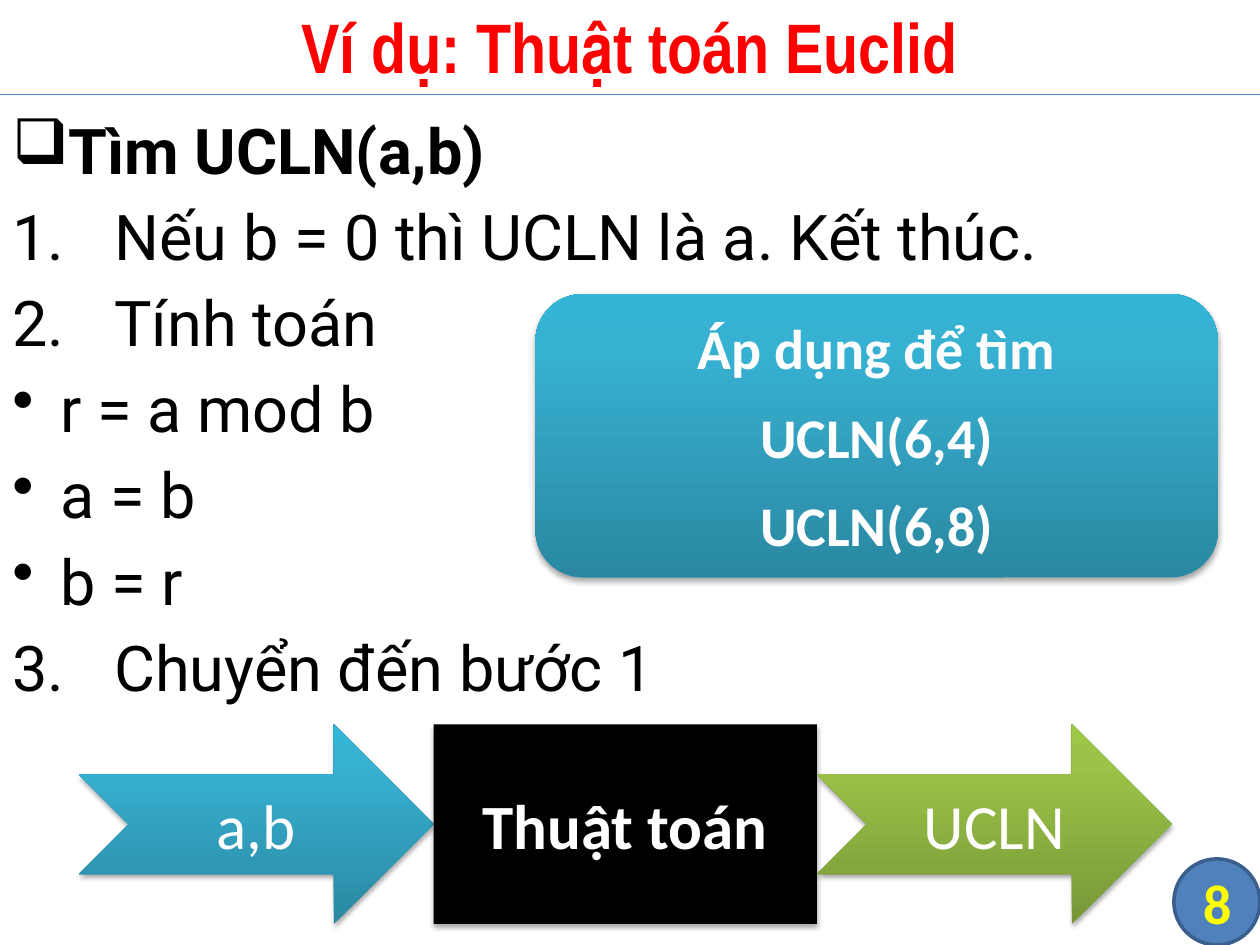
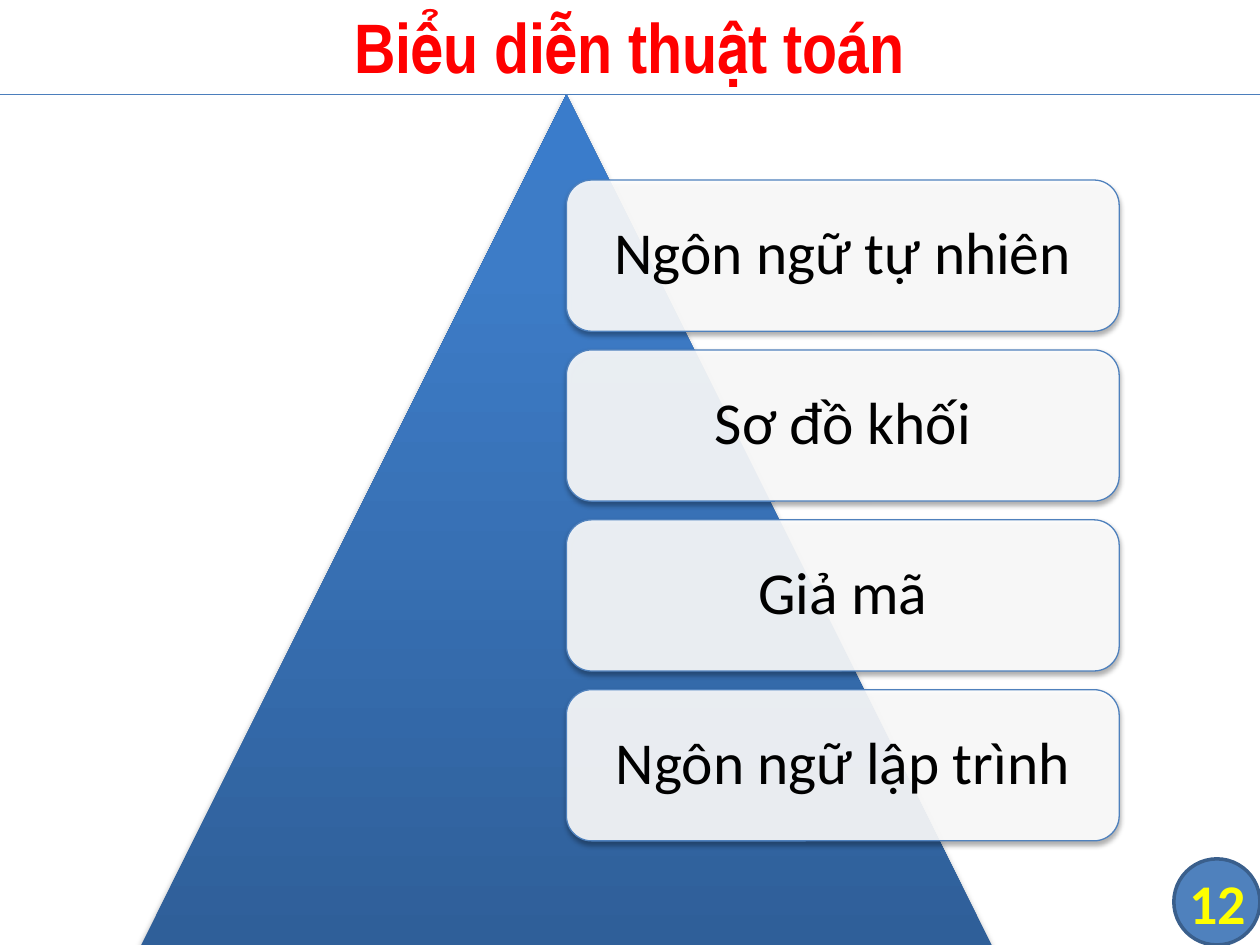
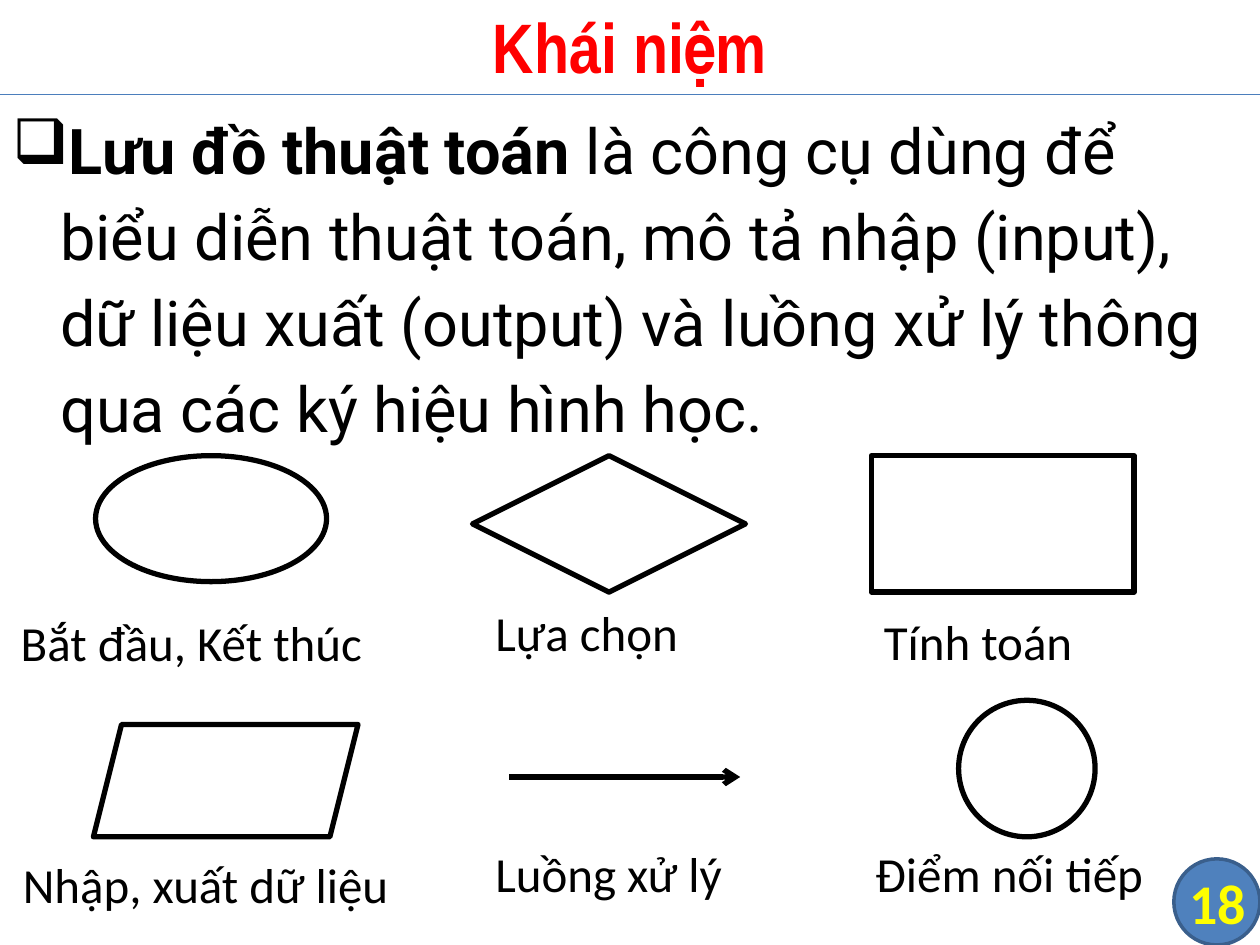
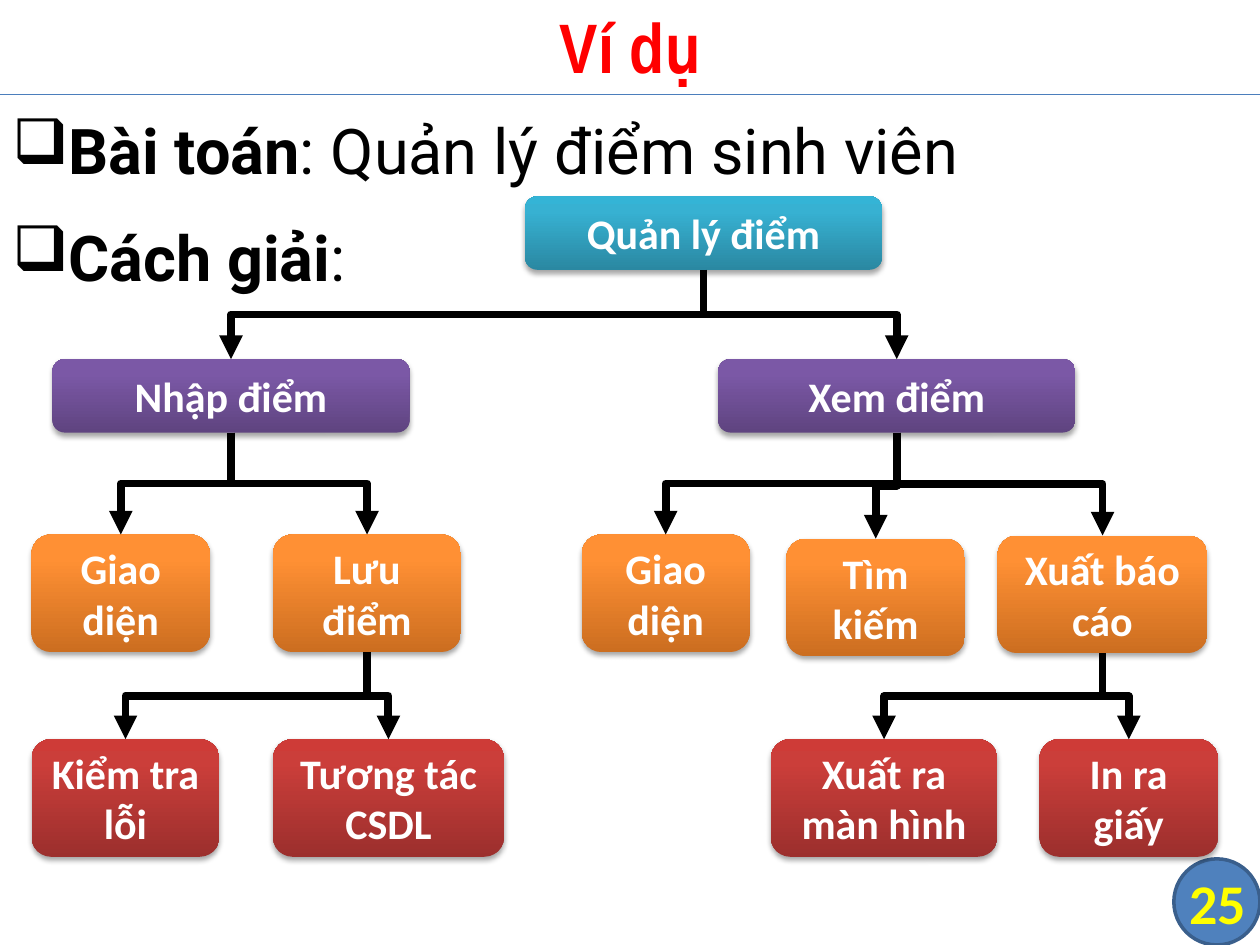
from lxml import etree
from pptx import Presentation
from pptx.dml.color import RGBColor
from pptx.enum.shapes import MSO_CONNECTOR, MSO_SHAPE
from pptx.enum.text import MSO_ANCHOR, MSO_AUTO_SIZE, PP_ALIGN
from pptx.oxml import parse_xml
from pptx.oxml.ns import qn
from pptx.util import Inches, Pt

ROUND, RECT = MSO_SHAPE.ROUNDED_RECTANGLE, MSO_SHAPE.RECTANGLE
NOTCHED, TRIANGLE = MSO_SHAPE.NOTCHED_RIGHT_ARROW, MSO_SHAPE.ISOSCELES_TRIANGLE
OVAL, DIAMOND = MSO_SHAPE.OVAL, MSO_SHAPE.DIAMOND
CIRCLE, PARALLELOGRAM = MSO_SHAPE.FLOWCHART_CONNECTOR, MSO_SHAPE.PARALLELOGRAM
STRAIGHT, ELBOW = MSO_CONNECTOR.STRAIGHT, MSO_CONNECTOR.ELBOW
MIDDLE, TOP = MSO_ANCHOR.MIDDLE, MSO_ANCHOR.TOP
CENTER, LEFT = PP_ALIGN.CENTER, PP_ALIGN.LEFT

COLS, ROWS = 120, 90  # grid cells of 1/12 inch
A_NS = 'xmlns:a="http://schemas.openxmlformats.org/drawingml/2006/main"'

BLACK, WHITE, BLUE = "000000", "FFFFFF", "4F81BD"
# Gradients run from the bottom edge to the top edge
TEAL = ("2A88A2", "37B1D2", "34B4D6")
GREEN = ("779737", "9BC348", "9DC746")
NAVY = ("2F5F99", "3D7CC7", "3A7CCB")
PURPLE = ("5F4480", "7B58A6", "7C57A8")
ORANGE = ("CC6E20", "FF9034", "FF9136")
RED = ("9C2F2D", "CB3E3A", "CE3B37")
STOPS = (0, 80, 100)


def style(size, color, bold=False, name="Calibri"):
    return {"size": Pt(size), "color": color, "bold": bold, "name": name}


TITLE = style(40, "FF0000", True, "Arial Narrow")
BODY = style(36, BLACK, name="Roboto")
NUMBER = style(32, "FFFF00", True)
CARD = style(34, BLACK)
CAPTION = style(28, BLACK)
NODE = style(24, WHITE, True)

# Bullet kind: (hanging indent in inches, XML of the bullet)
BULLETS = {
    "box": (0.38, '<a:buChar {} char="❑"/>'),
    "dot": (0.38, '<a:buChar {} char="•"/>'),
    "num": (0.81, '<a:buAutoNum {} type="arabicPeriod"/>'),
    "num3": (0.81, '<a:buAutoNum {} type="arabicPeriod" startAt="3"/>'),
}


def cells(*values):
    return [Inches(v / 12) for v in values]


def rgb(value):
    return RGBColor.from_string(value)


def add_run(p, text, fmt):
    r = p.add_run()
    r.text = text
    for key, value in fmt.items():
        if key == "color":
            r.font.color.rgb = rgb(value)
        else:
            setattr(r.font, key, value)


def write(tf, lines, fmt, align=CENTER, space=0):
    for i, line in enumerate(lines):
        p = tf.paragraphs[0] if i == 0 else tf.add_paragraph()
        p.alignment = align
        p.space_before = p.space_after = Pt(space)
        add_run(p, line, fmt)


def text_box(s, at, anchor=MIDDLE, inset=None, wrap=True):
    tf = s.shapes.add_textbox(*cells(*at)).text_frame
    tf.word_wrap, tf.vertical_anchor = wrap, anchor
    if inset is not None:
        for side in ("left", "top", "right", "bottom"):
            setattr(tf, f"margin_{side}", Inches(inset))
    return tf


def set_gradient(fill, sp_pr, colors):
    fill.gradient()
    fill.gradient_angle = 90
    stops = sp_pr.find(".//" + qn("a:gsLst"))
    for old in list(stops):
        stops.remove(old)
    for pos, color in zip(STOPS, colors):
        stops.append(parse_xml(f'<a:gs {A_NS} pos="{pos * 1000}">'
                               f'<a:srgbClr val="{color}"/></a:gs>'))


def set_shadow(sp_pr):
    effects = sp_pr.find(qn("a:effectLst"))
    effects.append(parse_xml(
        f'<a:outerShdw {A_NS} blurRad="{Pt(3.1)}" dist="{Pt(1.8)}" dir="5400000" rotWithShape="0">'
        f'<a:srgbClr val="{BLACK}"><a:alpha val="35000"/></a:srgbClr></a:outerShdw>'))


def shape(s, kind, at, fill=None, line=None, shadow=False, opacity=None):
    """fill: None, one colour or a gradient; line: None or (colour, points)."""
    sp = s.shapes.add_shape(kind, *cells(*at))
    sp.shadow.inherit = False
    sp_pr = sp.element.spPr
    if fill is None:
        sp.fill.background()
    elif isinstance(fill, tuple):
        set_gradient(sp.fill, sp_pr, fill)
    else:
        sp.fill.solid()
        sp.fill.fore_color.rgb = rgb(fill)
    if opacity:
        color = sp_pr.find(qn("a:solidFill")).find(qn("a:srgbClr"))
        etree.SubElement(color, qn("a:alpha")).set("val", str(opacity * 1000))
    if line:
        sp.line.color.rgb, sp.line.width = rgb(line[0]), Pt(line[1])
    else:
        sp.line.fill.background()
    if shadow:
        set_shadow(sp_pr)
    return sp


def block(s, kind, at, fill, lines, fmt, space=0):
    sp = shape(s, kind, at, fill, shadow=True)
    write(sp.text_frame, lines, fmt, space=space)


def connector(s, kind, ends, color, width, head=None):
    c = s.shapes.add_connector(kind, *cells(*ends))
    c.line.color.rgb, c.line.width = rgb(color), Pt(width)
    sp_pr = c.element.spPr
    if head:
        etree.SubElement(sp_pr.find(qn("a:ln")), qn("a:tailEnd")).set("type", head)
    etree.SubElement(sp_pr, qn("a:effectLst"))
    return c


def branch(s, x1, y1, x2, y2):
    """Elbow arrow that leaves downwards: a sideways elbow, turned a quarter."""
    cx, cy = (x1 + x2) / 2, (y1 + y2) / 2
    half_len, half_span = (y2 - y1) / 2, abs(x2 - x1) / 2
    turn = 1 if x2 < x1 else -1
    ends = (cx - turn * half_len, cy - half_span, cx + turn * half_len, cy + half_span)
    c = connector(s, ELBOW, ends, BLACK, 4.5, "triangle")
    c.rotation = 90 if turn == 1 else 270


def body(s, items, space=0):
    """items: (bullet kind, bold text, plain text)."""
    tf = text_box(s, (0, 9, COLS, ROWS - 9), TOP)
    for i, (kind, strong, plain) in enumerate(items):
        p = tf.paragraphs[0] if i == 0 else tf.add_paragraph()
        p.line_spacing = 1.14
        p.space_before = p.space_after = Pt(space)
        indent, bullet = BULLETS[kind]
        p_pr = p._p.get_or_add_pPr()
        p_pr.set("marL", str(Inches(indent)))
        p_pr.set("indent", str(-Inches(indent)))
        p_pr.append(parse_xml(bullet.format(A_NS)))
        for text, bold in ((strong, True), (plain, False)):
            if text:
                add_run(p, text, {**BODY, "bold": bold})


def new_slide(prs, title, number):
    s = prs.slides.add_slide(prs.slide_layouts[6])
    shape(s, CIRCLE, (111.8, 81.8, 8.2, 8.2), BLUE, ("3A5F8C", 2))
    connector(s, STRAIGHT, (0, 9, COLS, 9), "4B7EBC", 0.75)
    write(text_box(s, (0, -0.36, COLS, 9.36)), [title], TITLE)
    write(text_box(s, (111.9, 81.8, 8.1, 8.2), inset=0), [str(number)], NUMBER)
    return s


def euclid_slide(prs):
    s = new_slide(prs, "Ví dụ: Thuật toán Euclid", 8)
    body(s, [
        ("box", "Tìm UCLN(a,b)", ""),
        ("num", "", "Nếu b = 0 thì UCLN là a. Kết thúc."),
        ("num", "", "Tính toán"),
        ("dot", "", "r = a mod b"),
        ("dot", "", "a = b"),
        ("dot", "", "b = r"),
        ("num3", "", "Chuyển đến bước 1"),
    ])
    block(s, ROUND, (51, 28, 65, 27), TEAL,
          ["Áp dụng để tìm", "UCLN(6,4)", "UCLN(6,8)"], style(32, WHITE, True), space=6)
    x = 7.5
    for kind, width, fill, text, bold in (
            (NOTCHED, 33.8, TEAL, "a,b", False),
            (RECT, 36.5, BLACK, "Thuật toán", True),
            (NOTCHED, 33.8, GREEN, "UCLN", False)):
        block(s, kind, (x, 69, width, 19), fill, [text], style(36, WHITE, bold))
        x += width


def representation_slide(prs):
    s = new_slide(prs, "Biểu diễn thuật toán", 12)
    shape(s, TRIANGLE, (13.45, 9, 81, 81), NAVY, shadow=True)
    x, top, w, h, pitch, pad = 53.95, 17.15, 52.65, 14.4, 16.18, 0.7
    for i, text in enumerate(("Ngôn ngữ tự nhiên", "Sơ đồ khối", "Giả mã",
                              "Ngôn ngữ lập trình")):
        y = top + i * pitch
        shape(s, ROUND, (x, y, w, h), WHITE, (BLUE, 0.75), True, opacity=90)
        tf = text_box(s, (x + pad, y + pad, w - 2 * pad, h - 2 * pad), inset=0.14)
        write(tf, [text], CARD)
        tf.paragraphs[0].line_spacing = 0.9


def concept_slide(prs):
    s = new_slide(prs, "Khái niệm", 18)
    body(s, [("box", "Lưu đồ thuật toán",
              " là công cụ dùng để biểu diễn thuật toán, mô tả nhập (input), dữ liệu xuất "
              "(output) và luồng xử lý thông qua các ký hiệu hình học.")], space=6)
    for kind, at in (
            (OVAL, (9.1, 43.4, 22, 12)),
            (DIAMOND, (45, 43.4, 26, 13)),
            (RECT, (83, 43.4, 25, 13)),
            (PARALLELOGRAM, (8.9, 69, 25.2, 10.7)),
            (CIRCLE, (91.3, 66.7, 13, 13))):
        shape(s, kind, at, line=(BLACK, 3))
    connector(s, STRAIGHT, (48.5, 74, 70.5, 74), BLACK, 3, "arrow")
    for x, y, w, text in (
            (0.8, 57.7, 38.6, "Bắt đầu, Kết thúc"),
            (46, 56.8, 22.4, "Lựa chọn"),
            (83, 57.6, 22.3, "Tính toán"),
            (1, 80.8, 41, "Nhập, xuất dữ liệu"),
            (46, 79.7, 27.1, "Luồng xử lý"),
            (82.2, 79.7, 30, "Điểm nối tiếp")):
        tf = text_box(s, (x, y, w, 6.9), TOP, wrap=False)
        tf.auto_size = MSO_AUTO_SIZE.SHAPE_TO_FIT_TEXT
        write(tf, [text], CAPTION, LEFT)


def example_slide(prs):
    s = new_slide(prs, "Ví dụ", 25)
    body(s, [("box", "Bài toán", ": Quản lý điểm sinh viên"),
             ("box", "Cách giải", ":")], space=6)
    levels = [(7, TEAL), (7, PURPLE), (11.2, ORANGE), (11.2, RED)]
    # (level, parent index, left, top, width, text)
    nodes = [
        (0, None, 50, 18.7, 34, "Quản lý điểm"),
        (1, 0, 5, 34.2, 34, "Nhập điểm"),
        (1, 0, 68.4, 34.2, 34, "Xem điểm"),
        (2, 1, 3, 50.9, 17, "Giao diện"),
        (2, 1, 26, 50.9, 17.9, "Lưu điểm"),
        (2, 2, 55.4, 50.9, 16, "Giao diện"),
        (2, 2, 74.9, 51.3, 17, "Tìm kiếm"),
        (2, 2, 95, 51, 20, "Xuất báo cáo"),
        (3, 4, 3, 70.4, 17.9, "Kiểm tra lỗi"),
        (3, 4, 26, 70.4, 22, "Tương tác CSDL"),
        (3, 7, 73.4, 70.4, 21.6, "Xuất ra màn hình"),
        (3, 7, 99, 70.4, 17, "In ra giấy"),
    ]
    for level, _, x, y, w, text in nodes:
        height, fill = levels[level]
        block(s, ROUND, (x, y, w, height), fill, [text], NODE)
    for _, parent, x, y, w, _ in nodes[1:]:
        level, _, px, py, pw, _ = nodes[parent]
        branch(s, px + pw / 2, py + levels[level][0], x + w / 2, y)


def main():
    prs = Presentation()
    prs.slide_width, prs.slide_height = cells(COLS, ROWS)
    for build in (euclid_slide, representation_slide, concept_slide, example_slide):
        build(prs)
    prs.save("out.pptx")


if __name__ == "__main__":
    main()
